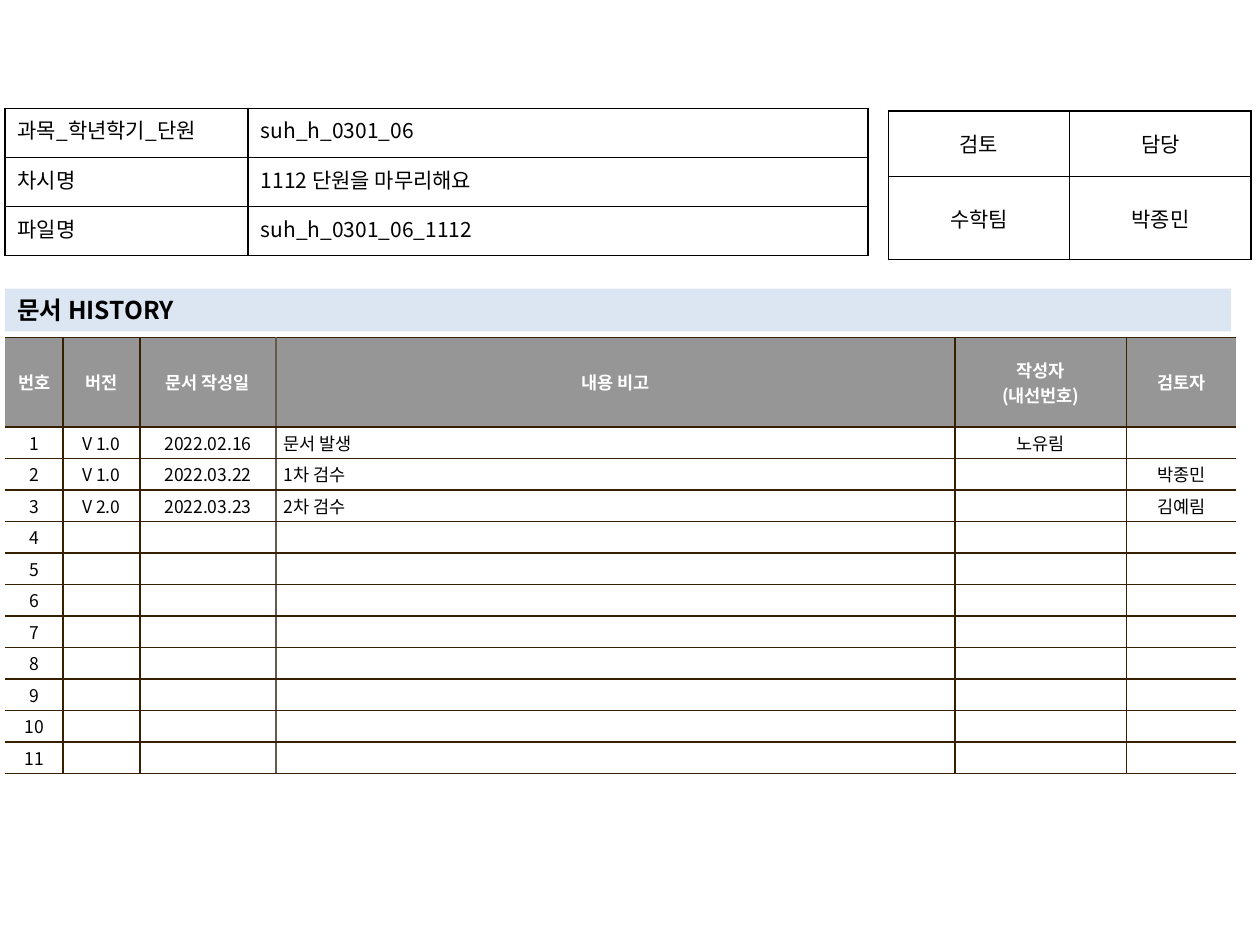
import pptx
import pptx.util
import pptx.dml.color
import pptx.enum.shapes
import pptx.enum.text
import pptx.oxml.ns
from lxml import etree

Inches = pptx.util.Inches
RGBColor = pptx.dml.color.RGBColor
ALIGN = pptx.enum.text.PP_ALIGN
ANCHOR = pptx.enum.text.MSO_ANCHOR
qn = pptx.oxml.ns.qn

BLACK = RGBColor(0x00, 0x00, 0x00)
WHITE = RGBColor(0xFF, 0xFF, 0xFF)
GRAY = RGBColor(0x96, 0x96, 0x96)
PALE_BLUE = RGBColor(0xDC, 0xE6, 0xF2)
BROWN = RGBColor(0x36, 0x20, 0x00)
TAUPE = RGBColor(0x64, 0x5B, 0x4C)
FONT = "Noto Sans CJK KR"


def write(tf, text, size=12, color=BLACK, bold=False, align=ALIGN.LEFT, indent=0):
    for i, line in enumerate(text.split("\n")):
        p = tf.paragraphs[0] if i == 0 else tf.add_paragraph()
        p.alignment = align
        if indent:
            pPr = p._p.get_or_add_pPr()
            pPr.set("marL", str(Inches(indent)))
            pPr.set("indent", str(-Inches(indent)))
        if not line:
            etree.SubElement(p._p, qn("a:endParaRPr"), sz=str(size * 100))
            continue
        r = p.add_run()
        r.text = line
        r.font.size = pptx.util.Pt(size)
        r.font.bold = bold
        r.font.color.rgb = color
        r.font.name = FONT
        etree.SubElement(r._r.get_or_add_rPr(), qn("a:ea"), typeface=FONT)


def add_grid(s, left, top, cols, rows, margins, color, open_sides=False):
    frame = s.shapes.add_table(len(rows), len(cols), Inches(left), Inches(top),
                               Inches(sum(cols)), Inches(sum(rows)))
    table = frame.table
    table.first_row = False
    table.horz_banding = False
    for col, width in zip(table.columns, cols):
        col.width = Inches(width)
    for row, height in zip(table.rows, rows):
        row.height = Inches(height)
        for c, cell in enumerate(row.cells):
            cell.margin_left = cell.margin_right = Inches(margins[0])
            cell.margin_top = cell.margin_bottom = Inches(margins[1])
            tcPr = cell._tc.get_or_add_tcPr()
            for side in ("lnL", "lnR", "lnT", "lnB"):
                ln = etree.SubElement(tcPr, qn("a:" + side), w="12700")
                if open_sides and (c, side) in ((0, "lnL"), (len(cols) - 1, "lnR")):
                    etree.SubElement(ln, qn("a:noFill"))
                    continue
                taupe = open_sides and (c, side) in ((2, "lnR"), (3, "lnL"))
                fill = etree.SubElement(ln, qn("a:solidFill"))
                etree.SubElement(fill, qn("a:srgbClr"), val=str(TAUPE if taupe else color))
            cell.fill.background()
    return table


prs = pptx.Presentation()
prs.slide_width = Inches(10)
prs.slide_height = Inches(7.5)
s = prs.slides.add_slide(prs.slide_layouts[6])

review = add_grid(s, 7.05, 0.88, [1.44] * 2, [0.52, 0.66], (0.1, 0.05), BLACK)
for cell, text in zip(review.iter_cells(), ["검토", "담당", "수학팀", "박종민"]):
    cell.vertical_anchor = ANCHOR.MIDDLE
    write(cell.text_frame, text, align=ALIGN.CENTER)

sp = s.shapes.add_shape(pptx.enum.shapes.MSO_SHAPE.RECTANGLE, Inches(0.04), Inches(2.29),
                        Inches(9.73), Inches(0.34))
sp.shadow.inherit = False
sp.fill.solid()
sp.fill.fore_color.rgb = PALE_BLUE
sp.line.fill.background()
sp.text_frame.word_wrap = True
sp.text_frame.vertical_anchor = ANCHOR.MIDDLE
write(sp.text_frame, "문서 HISTORY", size=14, bold=True)

entries = [
    ["번호", "버전", "문서 작성일", "내용 비고", "작성자\n(내선번호)", "검토자"],
    ["1", "V 1.0", "2022.02.16", "문서 발생", "노유림", ""],
    ["2", "V 1.0", "2022.03.22", "1차 검수", "", "박종민"],
    ["3", "V 2.0", "2022.03.23", "2차 검수", "", "김예림"],
]
entries += [[str(n), "", "", "", "", ""] for n in range(4, 12)]
history = add_grid(s, 0.04, 2.68, [0.46, 0.61, 1.08, 5.39, 1.36, 0.87],
                   [0.71] + [0.25] * 11, (0.06, 0.02), BROWN, open_sides=True)
for i, entry in enumerate(entries):
    header = i == 0
    for c, text in enumerate(entry):
        cell = history.cell(i, c)
        cell.vertical_anchor = ANCHOR.MIDDLE
        cell.fill.solid()
        cell.fill.fore_color.rgb = GRAY if header else WHITE
        note = c == 3 and not header
        write(cell.text_frame, text, size=10, bold=header,
              color=WHITE if header else BLACK,
              align=ALIGN.LEFT if note else ALIGN.CENTER,
              indent=0.19 if note else 0)

facts = [
    ("과목_학년학기_단원", "suh_h_0301_06"),
    ("차시명", "1112 단원을 마무리해요"),
    ("파일명", "suh_h_0301_06_1112"),
]
info = add_grid(s, 0.04, 0.86, [1.93, 4.92], [0.39] * 3, (0.1, 0.05), BLACK)
for i, (label, value) in enumerate(facts):
    write(info.cell(i, 0).text_frame, label, align=ALIGN.JUSTIFY)
    write(info.cell(i, 1).text_frame, value)

prs.save("out.pptx")
